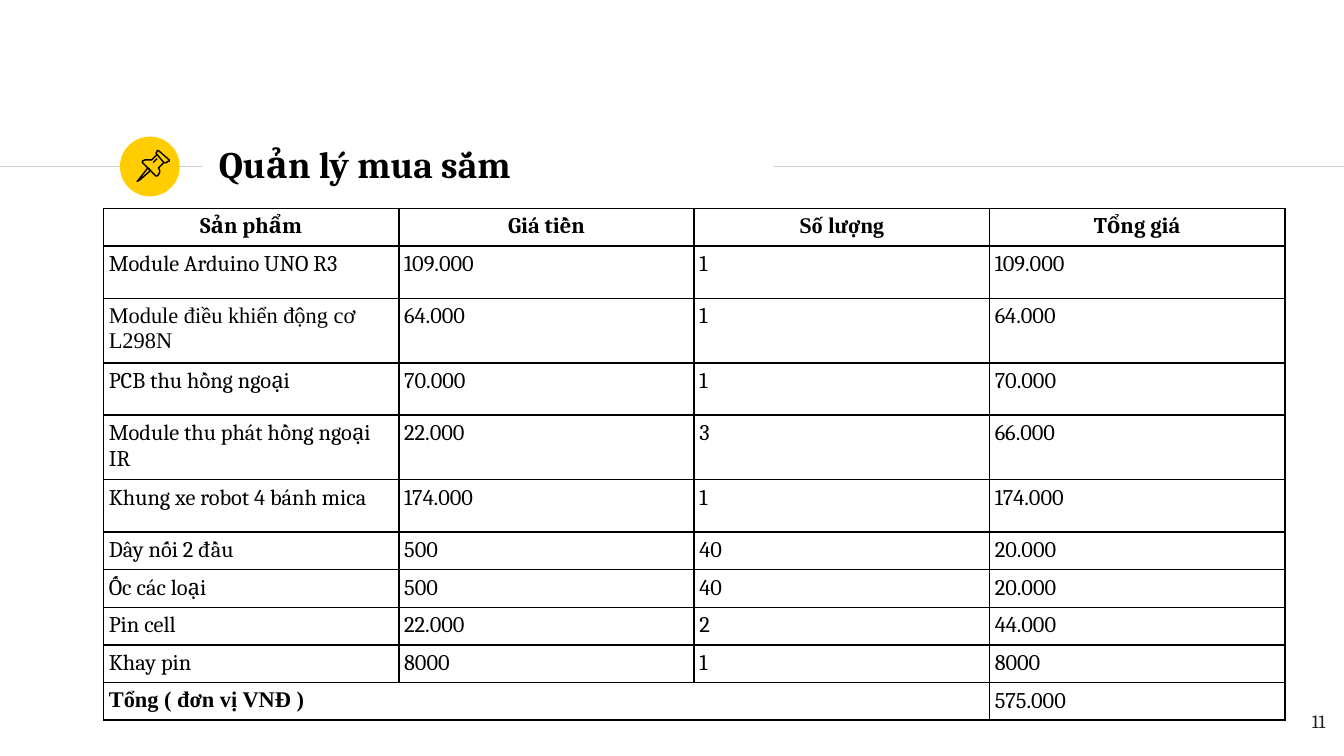
from lxml.etree import SubElement as Sub
from pptx import Presentation as Deck
from pptx.dml.color import RGBColor as Rgb
from pptx.enum.shapes import MSO_CONNECTOR as Link, MSO_SHAPE as Kind
from pptx.enum.text import MSO_ANCHOR as Anchor, PP_ALIGN as Align
from pptx.oxml.ns import qn
from pptx.util import Inches, Pt


def tint(code):
    return Rgb.from_string(code)


class Page:
    font, alt = "Cambria", "Times New Roman"
    ink, gray, gold, dark = "000000", "CCCCCC", "FFCD00", "1D1D1B"
    cols, rows = 100, 56.25

    def __init__(self, deck):
        self.wide, self.high = deck.slide_width, deck.slide_height
        self.shapes = deck.slides.add_slide(deck.slide_layouts[6]).shapes

    def x(self, col):
        return round(self.wide * col / self.cols)

    def y(self, row):
        return round(self.high * row / self.rows)

    def box(self, col, row, wide, high):
        return self.x(col), self.y(row), self.x(wide), self.y(high)

    def style(self, frame, size, color, bold=False, font=None, align=Align.LEFT):
        for para in frame.paragraphs:
            para.alignment = align
            for run in para.runs:
                run.font.name = font or self.font
                run.font.size = Pt(size)
                run.font.bold = bold
                run.font.color.rgb = tint(color)

    def rule(self, start, end, row):
        y = self.y(row)
        line = self.shapes.add_connector(Link.STRAIGHT, self.x(start), y, self.x(end), y)
        line.line.color.rgb = tint(self.gray)
        line.line.width = Pt(0.75)
        Sub(line._element.spPr, qn("a:effectLst"))

    def disc(self, *area):
        disc = self.shapes.add_shape(Kind.OVAL, *self.box(*area))
        disc.shadow.inherit = False
        disc.fill.solid()
        disc.fill.fore_color.rgb = tint(self.gold)
        disc.line.fill.background()

    def trace(self, points, close):
        spots = [(self.x(col), self.y(row)) for col, row in points]
        pen = self.shapes.build_freeform(*spots[0])
        pen.add_line_segments(spots[1:], close=close)
        shape = pen.convert_to_shape()
        shape.shadow.inherit = False
        shape.fill.background()
        shape.line.color.rgb = tint(self.ink)
        shape.line.width = Pt(0.75)

    def text(self, words, area, size, color, anchor=Anchor.TOP, **look):
        frame = self.shapes.add_textbox(*self.box(*area)).text_frame
        frame.word_wrap = True
        frame.vertical_anchor = anchor
        frame.margin_left = frame.margin_right = Inches(0.1)
        frame.margin_top = frame.margin_bottom = Inches(0.1)
        frame.text = words
        self.style(frame, size, color, **look)

    def edge(self, cell):
        props = cell._tc.get_or_add_tcPr()
        for side in ("lnL", "lnR", "lnT", "lnB"):
            line = Sub(props, qn(f"a:{side}"), w=str(Pt(1)))
            Sub(Sub(line, qn("a:solidFill")), qn("a:srgbClr"), val=self.ink)
        cell.fill.background()

    def table(self, data, area, tall, serif):
        count = len(data[0])
        grid = self.shapes.add_table(len(data), count, *self.box(*area)).table
        grid.first_row = grid.horz_banding = False
        for col in grid.columns:
            col.width = self.x(area[2] / count)
        last = len(data) - 1
        for r, line in enumerate(data):
            grid.rows[r].height = self.y(3.9 if r in tall else 2.4)
            for c, words in enumerate(line):
                cell = grid.cell(r, c)
                cell.margin_left = cell.margin_right = Inches(0.04)
                cell.margin_top = cell.margin_bottom = Inches(0.04)
                cell.text_frame.text = words
                self.style(
                    cell.text_frame, 12, self.ink,
                    bold=r == 0 or (r == last and c == 0),
                    font=self.alt if words in serif else self.font,
                    align=Align.LEFT if r else Align.CENTER,
                )
                self.edge(cell)
        grid.cell(last, 0).merge(grid.cell(last, count - 2))


HEAD = ["Sản phẩm", "Giá tiền", "Số lượng", "Tổng giá"]
ITEMS = [
    ["Module Arduino UNO R3", "109.000", "1", "109.000"],
    ["Module điều khiển động cơ L298N", "64.000", "1", "64.000"],
    ["PCB thu hồng ngoại", "70.000", "1", "70.000"],
    ["Module thu phát hồng ngoại IR", "22.000", "3", "66.000"],
    ["Khung xe robot 4 bánh mica", "174.000", "1", "174.000"],
    ["Dây nối 2 đầu", "500", "40", "20.000"],
    ["Ốc các loại", "500", "40", "20.000"],
    ["Pin cell", "22.000", "2", "44.000"],
    ["Khay pin", "8000", "1", "8000"],
]
TOTAL = ["Tổng ( đơn vị VNĐ )", "", "", "575.000"]
SERIF = {HEAD[2], ITEMS[1][0], TOTAL[0]}

NEEDLE = [(11, 12.5), (10.3, 13.4), (10.2, 13.5), (10.4, 13.4), (11.2, 12.7)]
CAP = [
    (11.7, 11.5), (12.2, 12.1), (12.4, 12.1), (12.5, 12), (12.6, 12),
    (12.6, 11.9), (11.8, 11.2), (11.7, 11.2), (11.7, 11.3), (11.6, 11.4),
]
BODY = [
    (11.7, 11.5), (11.3, 11.9), (11, 11.9), (10.8, 11.9), (10.6, 12),
    (10.6, 12.1), (11.6, 13.1), (11.7, 13.1), (11.8, 13), (11.9, 12.8),
    (11.9, 12.7), (11.8, 12.5), (12.2, 12.1),
]
SHINE = [(11.4, 12.1), (11.7, 11.8)]


def main():
    deck = Deck()
    deck.slide_width = Inches(10)
    deck.slide_height = deck.slide_width * 9 // 16
    page = Page(deck)
    page.rule(0, 15, 12.4)
    page.disc(8.93, 10.17, 4.45, 4.45)
    page.rule(57.6, 100, 12.4)
    page.text("Quản lý mua sắm", (15.3, 9.8, 42.4, 4.8), 20, page.ink, Anchor.MIDDLE, bold=True)
    for points, close in ((NEEDLE, True), (CAP, True), (BODY, False), (SHINE, False)):
        page.trace(points, close)
    page.text("11", (93.6, 51.95, 6, 4.3), 10, page.dark, align=Align.RIGHT)
    page.table([HEAD, *ITEMS, TOTAL], (7.7, 15.5, 87.9, 33.9), range(1, 6), SERIF)
    deck.save("out.pptx")


if __name__ == "__main__":
    main()
